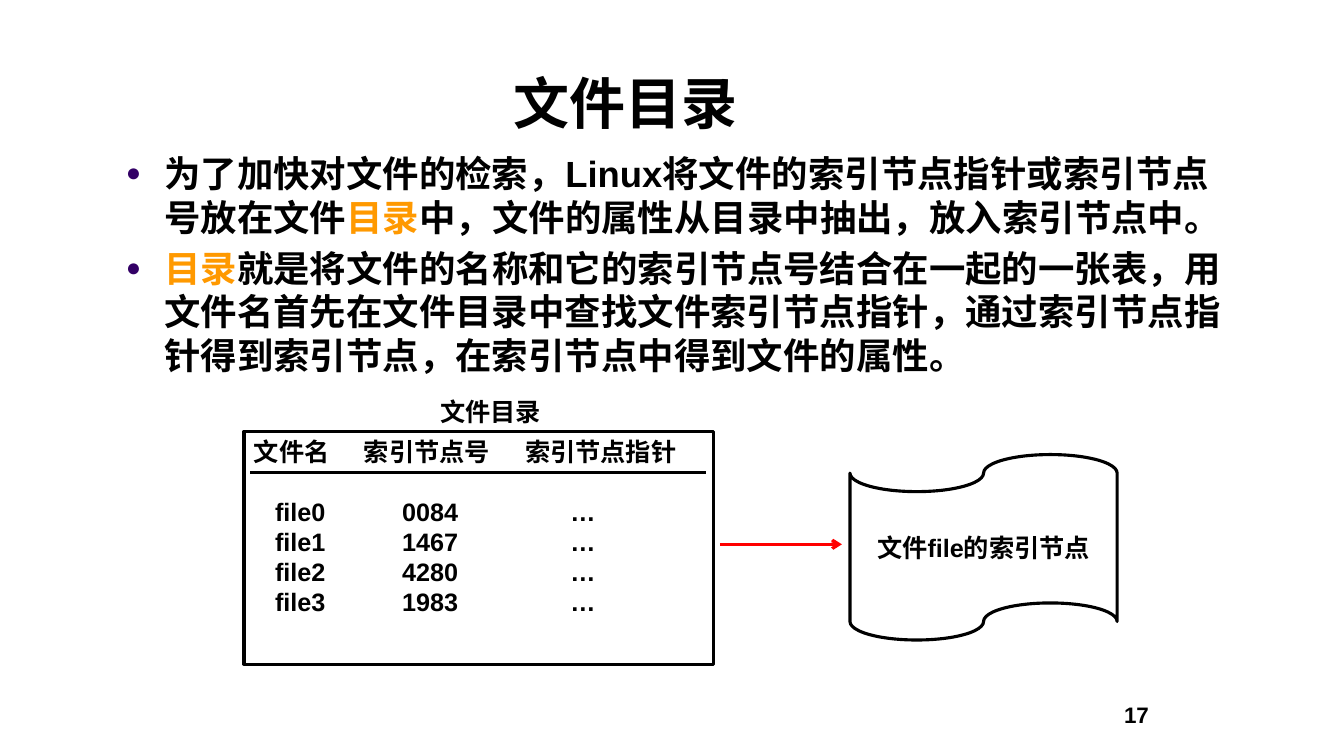
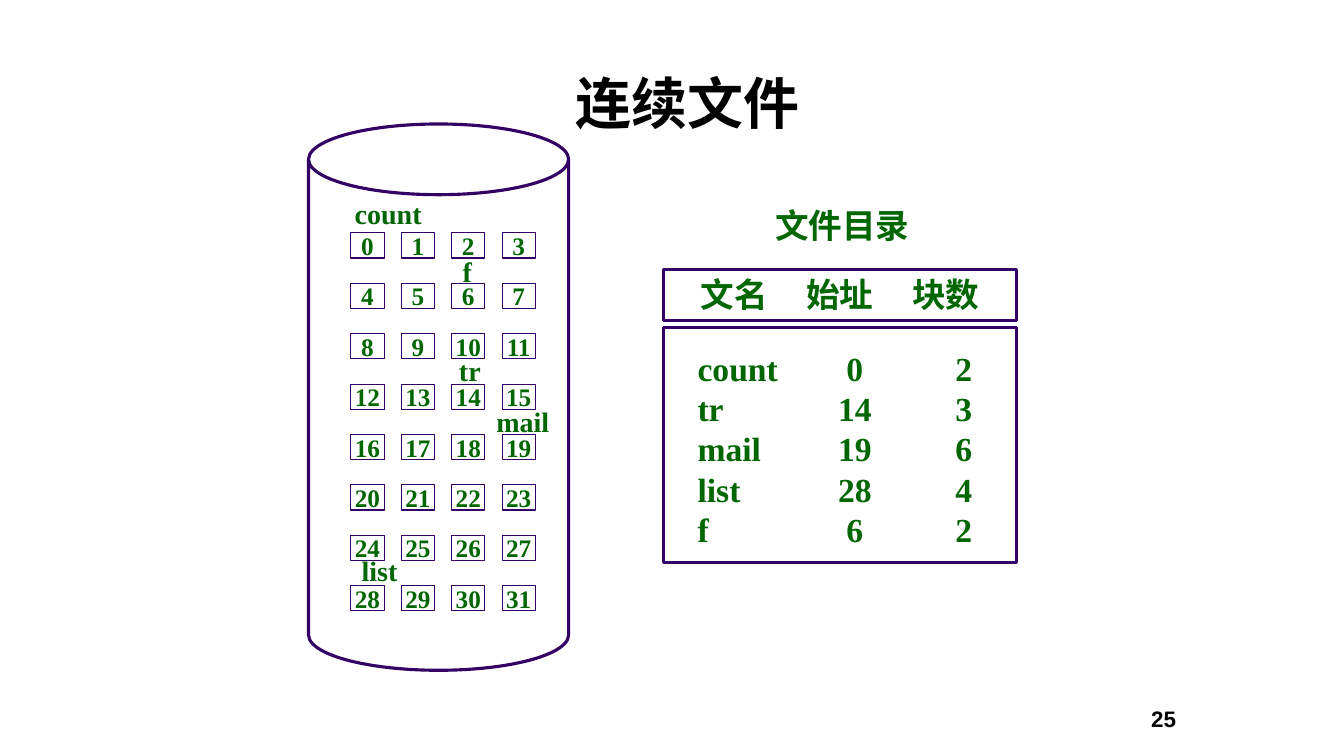
from lxml import etree
from pptx import Presentation
from pptx.dml.color import RGBColor
from pptx.enum.lang import MSO_LANGUAGE_ID
from pptx.enum.shapes import MSO_CONNECTOR, MSO_SHAPE
from pptx.enum.text import MSO_ANCHOR, PP_ALIGN
from pptx.oxml.ns import qn
from pptx.util import Inches, Pt

RECTANGLE = MSO_SHAPE.RECTANGLE
CAN = MSO_SHAPE.CAN
PUNCHED_TAPE = MSO_SHAPE.FLOWCHART_PUNCHED_TAPE
STRAIGHT = MSO_CONNECTOR.STRAIGHT
LEFT, CENTER = PP_ALIGN.LEFT, PP_ALIGN.CENTER
TOP, MIDDLE, BOTTOM = MSO_ANCHOR.TOP, MSO_ANCHOR.MIDDLE, MSO_ANCHOR.BOTTOM
CHINESE = MSO_LANGUAGE_ID.SIMPLIFIED_CHINESE

SANS, SERIF, HEITI = "Arial", "Times New Roman", "Noto Sans CJK SC"
BLACK, RED, ORANGE = "000000", "FF0000", "FF9900"
PURPLE, GREEN = "330066", "006600"
TITLE_ONLY = 5


def color(value):
    """Return the colour for a hex string."""
    return RGBColor.from_string(value)


def add_child(parent, tag, **attributes):
    """Append a drawing element to a parent and return it."""
    return etree.SubElement(parent, qn(tag), attributes)


class Deck:
    """Hold the shared style and the current slide."""

    def __init__(self):
        """Start an empty widescreen presentation."""
        self.presentation = Presentation()
        self.presentation.slide_width = Inches(13.33)
        self.presentation.slide_height = Inches(7.5)
        self.slide = None
        self.font, self.ink = SANS, BLACK

    def new_slide(self, title, box, title_font, font, ink):
        """Add a titled slide and choose its body font and ink."""
        layout = self.presentation.slide_layouts[TITLE_ONLY]
        self.slide = self.presentation.slides.add_slide(layout)
        placeholder = self.slide.shapes.title
        left, top, width, height = map(Inches, box)
        placeholder.left, placeholder.top = left, top
        placeholder.width, placeholder.height = width, height
        self.font, self.ink = title_font, BLACK
        self.set_lines(placeholder, [title], 40, anchor=BOTTOM)
        self.font, self.ink = font, ink

    def set_lines(self, shape, lines, size, align=CENTER, anchor=TOP):
        """Put one paragraph for each line into a shape."""
        frame = shape.text_frame
        frame.word_wrap = True
        frame.vertical_anchor = anchor
        if align == CENTER:
            frame.margin_left = frame.margin_right = 0
        for index, line in enumerate(lines):
            paragraph = frame.paragraphs[0] if index == 0 else frame.add_paragraph()
            paragraph.alignment = align
            paragraph.line_spacing = Pt(size * 1.2)
            runs = [(line, self.ink)] if isinstance(line, str) else line
            for text, ink in runs:
                self.add_run(paragraph, text, size, ink)
        return frame.paragraphs

    def add_run(self, paragraph, text, size, ink):
        """Add one bold run."""
        run = paragraph.add_run()
        run.text = text
        run.font.name = self.font
        run.font.size = Pt(size)
        run.font.bold = True
        run.font.color.rgb = color(ink)
        run.font.language_id = CHINESE
        add_child(run._r.get_or_add_rPr(), "a:ea", typeface=SANS)

    def text(self, box, lines, size, align=CENTER):
        """Add a text box and return its paragraphs."""
        shape = self.slide.shapes.add_textbox(*map(Inches, box))
        return self.set_lines(shape, lines, size, align)

    def bullets(self, box, lines, size):
        """Add a bulleted list."""
        for index, paragraph in enumerate(self.text(box, lines, size, LEFT)):
            properties = paragraph._p.get_or_add_pPr()
            properties.set("marL", str(Inches(0.38)))
            properties.set("indent", str(-Inches(0.38)))
            add_child(add_child(properties, "a:buClr"), "a:srgbClr", val=PURPLE)
            add_child(properties, "a:buSzPct", val="70000")
            add_child(properties, "a:buFont", typeface=SANS)
            add_child(properties, "a:buChar", char="●")
            if index:
                paragraph.space_before = Pt(size * 0.2)

    def tab_stops(self, paragraphs, stops):
        """Give paragraphs tab stops as (inches, alignment) pairs."""
        for paragraph in paragraphs:
            tab_list = add_child(paragraph._p.get_or_add_pPr(), "a:tabLst")
            for position, align in stops:
                add_child(tab_list, "a:tab", pos=str(Inches(position)), algn=align)

    def outline(self, kind, box, line_color, width=2.25):
        """Add an unfilled preset shape."""
        shape = self.slide.shapes.add_shape(kind, *map(Inches, box))
        shape.shadow.inherit = False
        shape.fill.background()
        shape.line.color.rgb = color(line_color)
        shape.line.width = Pt(width)
        return shape

    def line(self, start, end, line_color, arrow=False):
        """Add a straight line, with an arrowhead if asked."""
        connector = self.slide.shapes.add_connector(STRAIGHT, *map(Inches, start + end))
        connector.line.color.rgb = color(line_color)
        connector.line.width = Pt(2.25)
        properties = connector._element.spPr
        if arrow:
            add_child(properties.find(qn("a:ln")), "a:tailEnd", type="arrow")
        add_child(properties, "a:effectLst")

    def page_number(self, box, number, align):
        """Add the slide number."""
        self.font, self.ink = SANS, BLACK
        self.text(box, [number], 16, align)


def file_directory(deck):
    """Build the slide about the file directory."""
    deck.new_slide("文件目录", (2.26, 0.46, 7.89, 0.94), SANS, SANS, BLACK)
    deck.bullets((1.15, 1.45, 11.18, 3.17), [
        [("为了加快对文件的检索，Linux将文件的索引节点指针或索引节点号放在文件", BLACK),
         ("目录", ORANGE),
         ("中，文件的属性从目录中抽出，放入索引节点中。", BLACK)],
        [("目录", ORANGE),
         ("就是将文件的名称和它的索引节点号结合在一起的一张表，"
          "用文件名首先在文件目录中查找文件索引节点指针，"
          "通过索引节点指针得到索引节点，在索引节点中得到文件的属性。", BLACK)],
    ], 26)

    directory = deck.outline(RECTANGLE, (2.42, 4.28, 4.66, 2.31), BLACK)
    node_numbers = ["0084", "1467", "4280", "1983"]
    rows = [f"\tfile{index}\t{number}\t…" for index, number in enumerate(node_numbers)]
    header, *entries = deck.set_lines(
        directory, ["文件名\t索引节点号\t索引节点指针"] + rows, 18, LEFT)
    deck.tab_stops([header], [(1.09, "l"), (2.69, "l")])
    deck.tab_stops(entries, [(0.21, "l"), (1.47, "l"), (3.14, "l")])
    entries[0].space_before = Pt(21)
    deck.line((2.48, 4.69), (7, 4.69), BLACK)

    deck.line((7.14, 5.4), (8.35, 5.4), RED, arrow=True)
    index_node = deck.outline(PUNCHED_TAPE, (8.43, 4.51, 2.65, 1.84), BLACK)
    deck.set_lines(index_node, ["文件file的索引节点"], 18, anchor=MIDDLE)
    deck.text((4.09, 3.88, 1.55, 0.4), ["文件目录"], 18)
    deck.page_number((11.05, 6.91, 0.65, 0.5), "17", LEFT)


def contiguous_files(deck):
    """Build the slide about contiguous files."""
    deck.new_slide("连续文件", (2.57, 0.66, 8.5, 0.74), HEITI, SERIF, GREEN)
    deck.outline(RECTANGLE, (6.58, 3.25, 3.5, 2.33), PURPLE)
    header = deck.outline(RECTANGLE, (6.58, 2.67, 3.5, 0.51), PURPLE)
    headings = deck.set_lines(header, ["\t文名\t始址\t块数"], 24, LEFT)
    deck.tab_stops(headings, [(0.27, "l"), (1.32, "l"), (2.37, "l")])
    files = [("count", 0, 2), ("tr", 14, 3), ("mail", 19, 6), ("list", 28, 4), ("f", 6, 2)]
    entries = deck.text(
        (6.82, 3.4, 3.01, 2.12),
        [f"{name}\t{start}\t{blocks}" for name, start, blocks in files], 24, LEFT)
    deck.tab_stops(entries, [(1.56, "ctr"), (2.64, "ctr")])
    deck.text((7.58, 1.98, 1.55, 0.5), ["文件目录"], 24)

    for number in range(32):
        row, column = divmod(number, 4)
        box = (3.48 + 0.5 * column, 2.31 + 0.5 * row, 0.33, 0.25)
        block = deck.outline(RECTANGLE, box, PURPLE, 0.75)
        block.text_frame.margin_top = block.text_frame.margin_bottom = 0
        deck.set_lines(block, [str(number)], 18, anchor=MIDDLE)
    disk = deck.outline(CAN, (3.06, 1.23, 2.58, 5.42), PURPLE)
    disk.adjustments[0] = 0.272
    for name, left, top, width in [
        ("count", 3.38, 1.9, 0.94),
        ("f", 4.51, 2.48, 0.25),
        ("tr", 4.45, 3.46, 0.42),
        ("mail", 4.81, 3.96, 0.75),
        ("list", 3.39, 5.44, 0.75),
    ]:
        deck.text((left, top, width, 0.43), [name], 20)
    deck.page_number((11.14, 6.95, 0.8, 0.5), "25", CENTER)


def main():
    """Build and save the presentation."""
    deck = Deck()
    file_directory(deck)
    contiguous_files(deck)
    deck.presentation.save("out.pptx")


if __name__ == "__main__":
    main()
